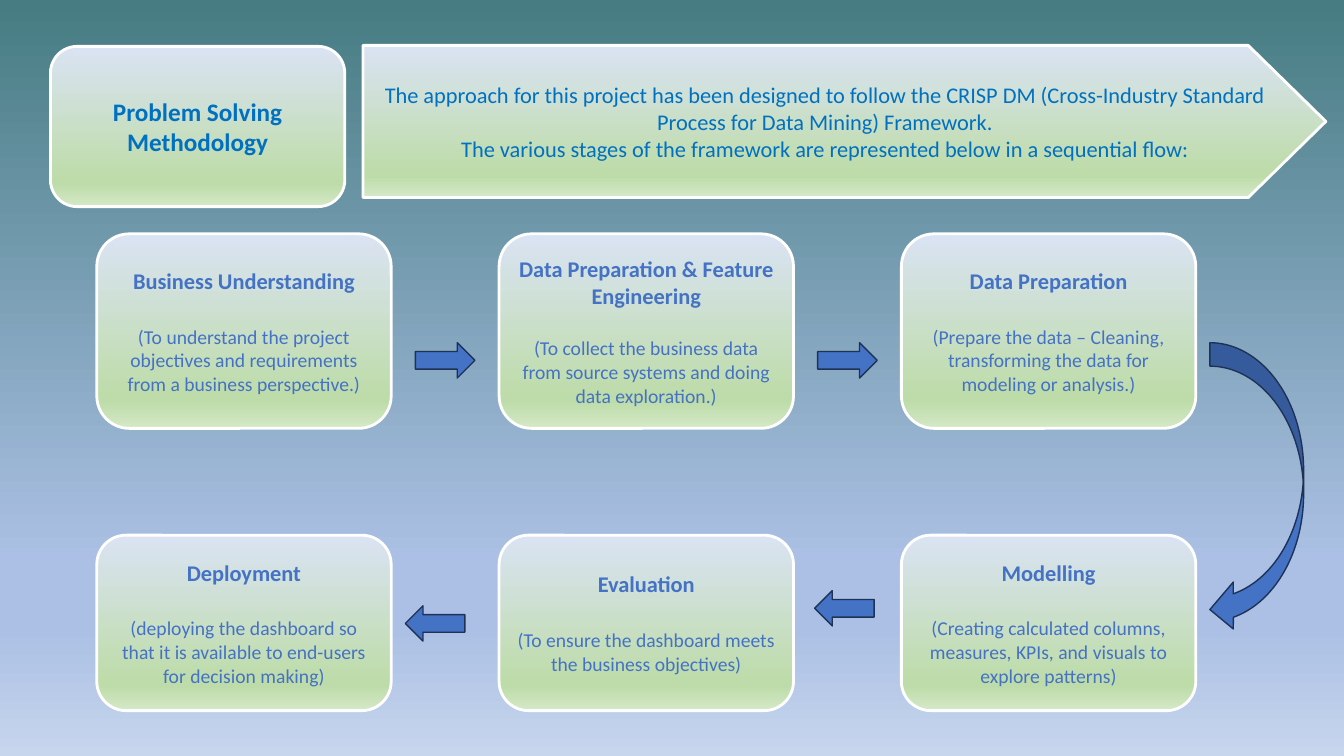
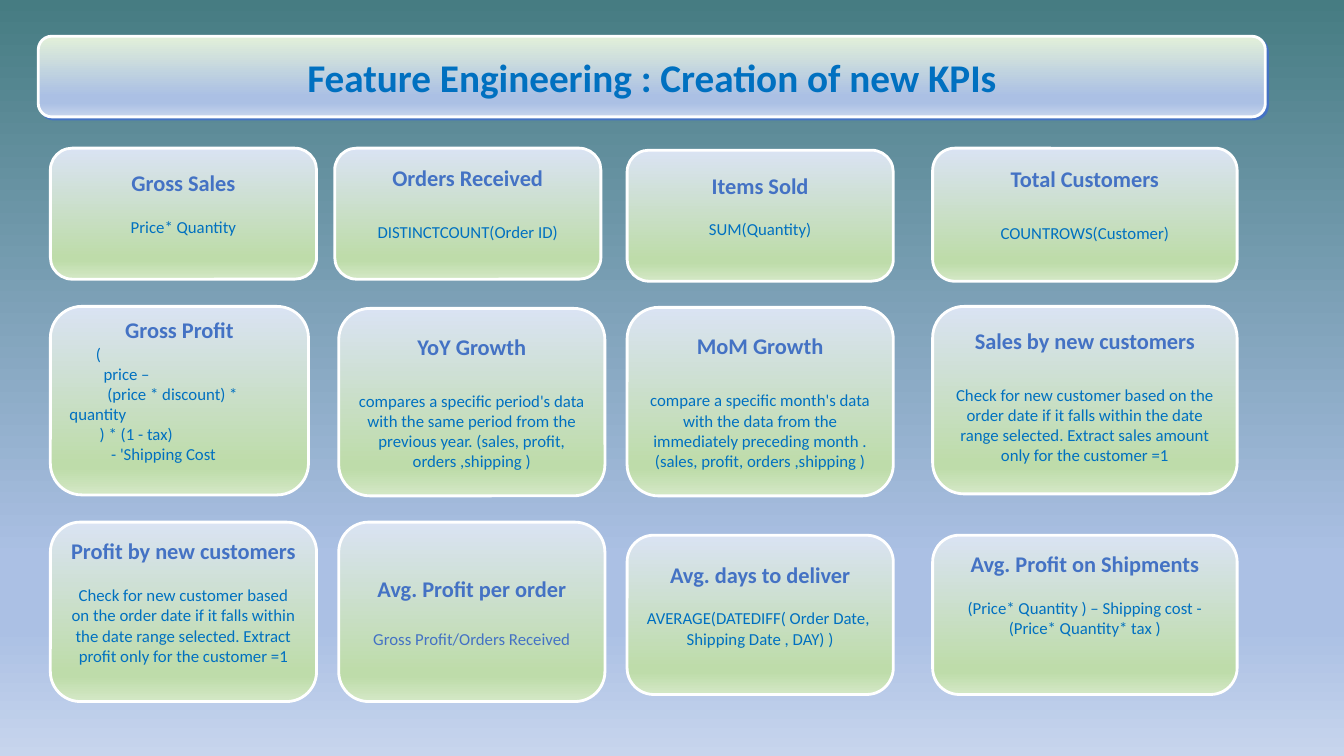
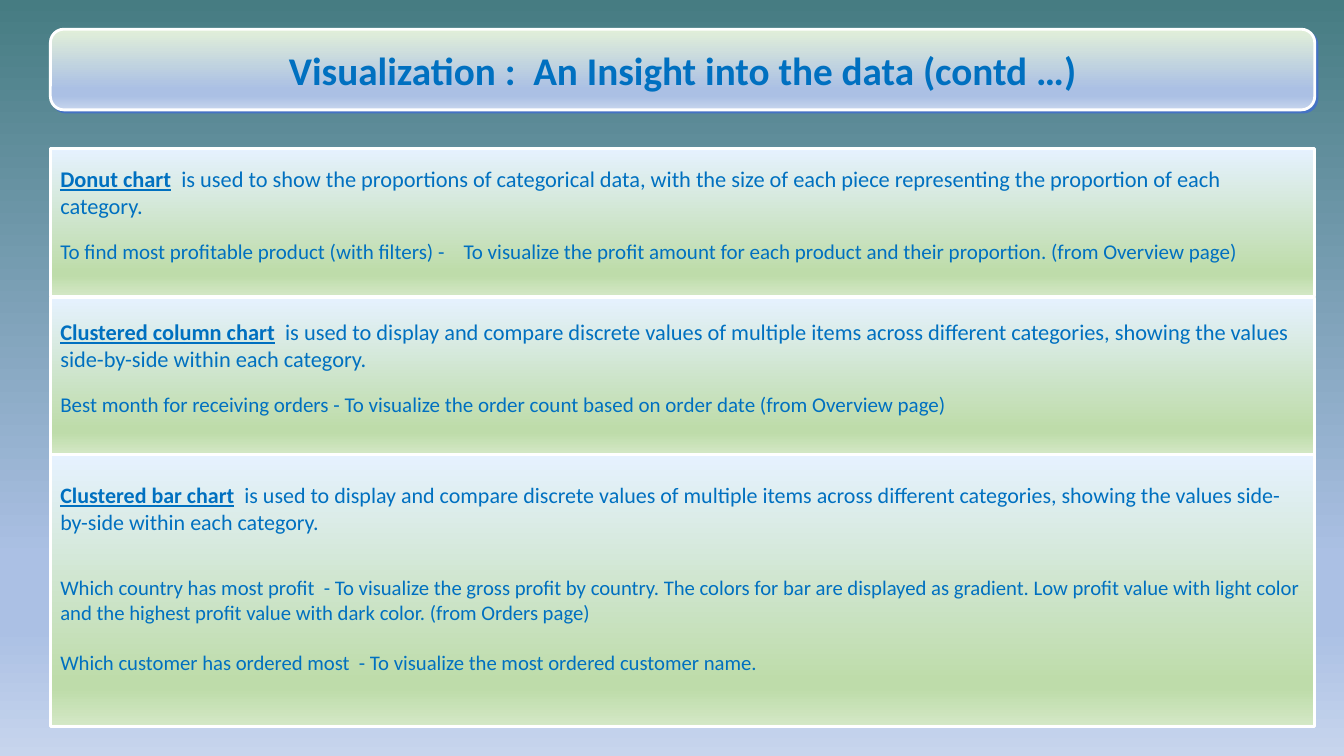
"""Build three slides on a project method, its new KPIs and its charts."""
from dataclasses import dataclass

from lxml.etree import SubElement as sub
from pptx import Presentation
from pptx.dml.color import RGBColor as RGB
from pptx.enum.shapes import MSO_SHAPE as Shape
from pptx.enum.text import MSO_ANCHOR as Anchor, PP_ALIGN as Align
from pptx.oxml.ns import qn
from pptx.util import Inches, Pt


@dataclass(frozen=True)
class Theme:
    font: str = "Calibri"
    blue: str = "0070C0"
    accent: str = "4472C4"
    edge: str = "1E3256"
    white: str = "FFFFFF"
    page: tuple = ((0, "467C82"), (74, "ABC0E4"), (83, "ABC0E4"), (100, "C7D5ED"))
    banner: tuple = ((0, "E2F0D9"), (74, "ABC0E4"), (83, "ABC0E4"), (100, "C7D5ED"))
    card: tuple = ((0, "DAE3F3"), (83, "BEDCAA"), (86, "BEDCAA"), (100, "D4E8C6"))
    row: tuple = ((0, "E6F2FF"), (83, "BEDCAA"), (86, "BEDCAA"), (100, "D4E8C6"))
    title: float = 28
    topic: float = 18
    head: float = 16
    step: float = 14
    note: float = 12
    line: float = 1.22


T = Theme()

TOPIC = "Problem Solving Methodology"
INTRO = [
    "The approach for this project has been designed to follow the CRISP DM "
    "(Cross-Industry Standard Process for Data Mining) Framework.",
    "The various stages of the framework are represented below in a sequential flow:",
]
STEPS = [
    (2.32, 1.93, [
        ("Business Understanding",
         "(To understand the project objectives and requirements from a business perspective.)", 18),
        ("Data Preparation & Feature Engineering",
         "(To collect the business data from source systems and doing data exploration.)", 16),
        ("Data Preparation",
         "(Prepare the data – Cleaning, transforming the data for modeling or analysis.)", 18),
    ]),
    (5.31, 1.74, [
        ("Deployment",
         "(deploying the dashboard so that it is available to end-users for decision making)", 18),
        ("Evaluation", "(To ensure the dashboard meets the business objectives)", 18),
        ("Modelling",
         "(Creating calculated columns, measures, KPIs, and visuals to explore patterns)", 18),
    ]),
]
ARROWS = [
    (Shape.RIGHT_ARROW, (4.12, 3.4, 0.59, 0.35)),
    (Shape.RIGHT_ARROW, (8.11, 3.4, 0.59, 0.35)),
    (Shape.CURVED_LEFT_ARROW, (12, 3.4, 0.93, 2.88)),
    (Shape.LEFT_ARROW, (8.08, 5.86, 0.59, 0.35)),
    (Shape.LEFT_ARROW, (4.02, 6.01, 0.59, 0.35)),
]

KPI_TITLE = "Feature Engineering : Creation of new KPIs"
PROFIT = [
    "       (",
    "         price –",
    "          (price * discount) * quantity",
    "        ) * (1 - tax)",
    "           - 'Shipping Cost",
]
KPIS = [
    ((0.5, 1.47, 2.64, 1.3), "Gross Sales", "Price* Quantity", 12, 12),
    ((3.32, 1.47, 2.64, 1.3), "Orders Received", "DISTINCTCOUNT(Order ID)", 18, 12),
    ((6.22, 1.49, 2.64, 1.3), "Items Sold", "SUM(Quantity)", 12, 12),
    ((9.25, 1.47, 3.02, 1.32), "Total Customers", "COUNTROWS(Customer)", 18, 12),
    ((0.5, 3.04, 2.56, 1.87), "Gross Profit", PROFIT, 0, 12),
    ((3.36, 3.06, 2.64, 1.86), "YoY Growth",
     "compares a specific period's data with the same period from the previous year. "
     "(sales, profit, orders ,shipping )", 18, 0),
    ((6.22, 3.05, 2.64, 1.87), "MoM Growth",
     "compare a specific month's data with the data from the immediately preceding month . "
     "(sales, profit, orders ,shipping )", 18, 0),
    ((9.25, 3.04, 3.02, 1.86), "Sales by new customers",
     "Check for new customer based on the order date if it falls within the date range selected. "
     "Extract sales amount only for the customer =1", 18, 5),
    ((0.5, 5.18, 2.64, 1.78), "Profit by new customers",
     "Check for new customer based on the order date if it falls within the date range selected. "
     "Extract profit only for the customer =1", 12, 12),
    ((3.36, 5.18, 2.64, 1.78), "Avg. Profit per order", "Gross Profit/Orders Received", 16, 0),
    ((6.22, 5.31, 2.64, 1.58), "Avg. days to deliver",
     "AVERAGE(DATEDIFF( Order Date,  Shipping Date , DAY) )", 12, 12),
    ((9.25, 5.31, 3.02, 1.58), "Avg. Profit on Shipments",
     "(Price* Quantity ) – Shipping cost - (Price* Quantity* tax )", 12, 24),
]
ACCENTED = "Avg. Profit per order"

CHART_TITLE = "Visualization :  An Insight into the data (contd …)"
COMPARE = ("  is used to display and compare discrete values of multiple items across "
           "different categories, showing the values side-by-side within each category.")
CHARTS = [
    (1.47, 1.47, 0.17, (16, 15), "Donut chart",
     "  is used to show the proportions of categorical data, with the size of each piece "
     "representing the proportion of each category.",
     [("To find most profitable product (with filters) -\tTo visualize the profit amount "
       "for each product and their proportion. (from Overview page)", 14)]),
    (2.95, 1.56, 0.21, (16, 15), "Clustered column chart", COMPARE,
     [("Best month for receiving orders - To visualize the order count based on order date "
       "(from Overview page)", 14)]),
    (4.51, 2.7, 0.27, (15.7, 14.8), "Clustered bar chart", COMPARE,
     [("Which country has most profit  - To visualize the gross profit by country. The colors "
       "for bar are displayed as gradient. Low profit value with light color and the highest "
       "profit value with dark color. (from Orders page)", 29),
      ("Which customer has ordered most  - To visualize the most ordered customer name.", 18)]),
]


def blend(fill, root, stops):
    """Fill with a top-down gradient of the given stops."""
    fill.gradient()
    fill.gradient_angle = 270
    items = root.find(".//" + qn("a:gsLst"))
    for old in list(items):
        items.remove(old)
    for pos, tint in stops:
        stop = sub(items, qn("a:gs"), pos=str(pos * 1000))
        sub(stop, qn("a:srgbClr"), val=tint)


def draw(slide, kind, box, fill, edge=T.white, width=2):
    """Add a preset shape with a plain or gradient fill."""
    shape = slide.shapes.add_shape(kind, *map(Inches, box))
    shape.shadow.inherit = False
    if isinstance(fill, str):
        shape.fill.solid()
        shape.fill.fore_color.rgb = RGB.from_string(fill)
    else:
        blend(shape.fill, shape._element.spPr, fill)
    shape.line.color.rgb = RGB.from_string(edge)
    shape.line.width = Pt(width)
    return shape


def style(run, size, tint, bold=False, under=False):
    """Format one run."""
    font = run.font
    font.name, font.size, font.bold = T.font, Pt(size), bold
    font.color.rgb = RGB.from_string(tint)
    if under:
        font.underline = True


def write(shape, lines, tail=0):
    """Write (text, size, colour, bold, gap, align) lines, lifted by a tail."""
    frame = shape.text_frame
    frame.word_wrap = True
    frame.vertical_anchor = Anchor.MIDDLE
    frame.margin_bottom = Inches(0.05) + Pt(tail * T.line)
    frame.text = "\n".join(line[0] for line in lines)
    for para, (_, size, tint, bold, gap, align) in zip(frame.paragraphs, lines):
        para.alignment = align
        if gap:
            para.space_before = Pt(gap * T.line)
        for run in para.runs:
            style(run, size, tint, bold)


def label(text, size, tint, bold=False, gap=0, align=Align.CENTER):
    """Describe one line of text."""
    return text, size, tint, bold, gap, align


def banner(slide, text, box):
    """Add the slide title in a shaded bar."""
    bar = draw(slide, Shape.ROUNDED_RECTANGLE, box, T.banner)
    effects = bar._element.spPr.find(qn("a:effectLst"))
    shade = sub(effects, qn("a:outerShdw"), dist="28000", dir="2700000")
    sub(shade, qn("a:srgbClr"), val=T.accent)
    write(bar, [label(text, T.title, T.blue, True)])


def method(slide):
    """Draw the flow of stages."""
    topic = draw(slide, Shape.ROUNDED_RECTANGLE, (0.5, 0.46, 2.92, 1.59), T.card)
    write(topic, [label(TOPIC, T.topic, T.blue, True)])
    intro = draw(slide, Shape.PENTAGON, (3.6, 0.45, 9.55, 1.51), T.card)
    intro.adjustments[0] = 0.51
    write(intro, [label(text, T.head, T.blue) for text in INTRO])
    for top, high, cards in STEPS:
        for col, (head, body, gap) in enumerate(cards):
            box = (0.96 + 3.99 * col, top, 2.92, high)
            card = draw(slide, Shape.ROUNDED_RECTANGLE, box, T.card)
            write(card, [label(head, T.head, T.accent, True),
                         label(body, T.step, T.accent, gap=gap)])
    for kind, box in ARROWS:
        draw(slide, kind, box, T.accent, T.edge, 1)


def kpis(slide):
    """Draw the KPI cards."""
    for box, head, body, gap, tail in KPIS:
        card = draw(slide, Shape.ROUNDED_RECTANGLE, box, T.card)
        tint = T.accent if head == ACCENTED else T.blue
        if isinstance(body, list):
            rest = [label(text, T.note, tint, align=Align.LEFT) for text in body]
        else:
            rest = [label(body, T.note, tint, gap=gap)]
        write(card, [label(head, T.head, T.accent, True)] + rest, tail)
    banner(slide, KPI_TITLE, (0.38, 0.36, 12.17, 0.8))


def charts(slide):
    """Draw the rows that explain each chart."""
    for top, high, inset, (big, small), name, use, notes in CHARTS:
        row = draw(slide, Shape.RECTANGLE, (0.5, top, 12.54, high), T.row)
        frame = row.text_frame
        frame.word_wrap = True
        frame.vertical_anchor = Anchor.TOP
        frame.margin_top = Inches(inset)
        para = frame.paragraphs[0]
        para.text = name
        para.alignment = Align.LEFT
        style(para.runs[0], big, T.blue, True, True)
        rest = para.add_run()
        rest.text = use
        style(rest, big, T.blue)
        for text, gap in notes:
            para = frame.add_paragraph()
            para.text = text
            para.alignment = Align.LEFT
            para.space_before = Pt(gap)
            if "\t" in text:
                tabs = sub(para._p.get_or_add_pPr(), qn("a:tabLst"))
                sub(tabs, qn("a:tab"), pos=str(Inches(4)), algn="l")
            for run in para.runs:
                style(run, small, T.blue)
    banner(slide, CHART_TITLE, (0.5, 0.29, 12.54, 0.8))


def main():
    """Build and save the deck."""
    deck = Presentation()
    deck.slide_width, deck.slide_height = Inches(13.33), Inches(7.5)
    master = deck.slide_master
    blend(master.background.fill, master._element, T.page)
    for build in (method, kpis, charts):
        build(deck.slides.add_slide(deck.slide_layouts[6]))
    deck.save("out.pptx")


if __name__ == "__main__":
    main()
